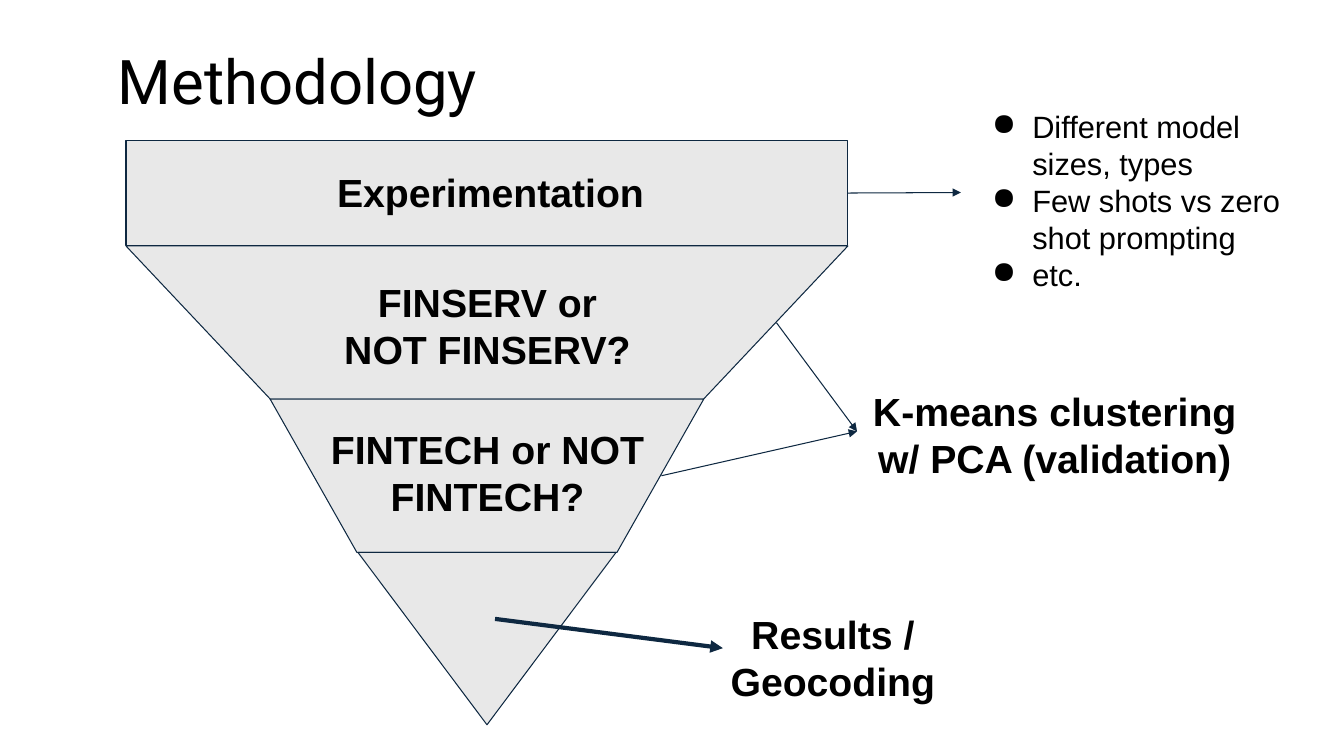
import pptx
import pptx.util
import pptx.dml.color
import pptx.enum.shapes
import pptx.enum.text
from lxml import etree
from pptx.util import Inches

COLORS = {"text": "000000", "fill": "E8E8E8", "line": "0E2841"}
SHAPES = pptx.enum.shapes.MSO_SHAPE
ALIGN = pptx.enum.text.PP_ALIGN
ANCHOR = pptx.enum.text.MSO_ANCHOR


def rgb(name):
    """Return the named palette colour."""
    return pptx.dml.color.RGBColor.from_string(COLORS[name])


def add_bullet(p):
    """Give a paragraph a hanging round bullet."""
    pPr = p._p.get_or_add_pPr()
    pPr.set("marL", str(Inches(0.5)))
    pPr.set("indent", str(Inches(-0.4)))
    color = etree.SubElement(pPr, pptx.oxml.ns.qn("a:buClr"))
    etree.SubElement(color, pptx.oxml.ns.qn("a:srgbClr"), val=COLORS["text"])
    etree.SubElement(pPr, pptx.oxml.ns.qn("a:buChar"), char="●")


def add_text(s, text, left, top, width, height, size=28, bold=True, font="Arial",
             align=ALIGN.CENTER, anchor=ANCHOR.TOP, inset=0.1, spacing=None, bullets=False):
    """Add a wrapped text box with one paragraph per line of text."""
    sp = s.shapes.add_textbox(Inches(left), Inches(top), Inches(width), Inches(height))
    tf = sp.text_frame
    tf.word_wrap = True
    tf.vertical_anchor = anchor
    tf.margin_left = Inches(inset)
    tf.margin_right = tf.margin_top = tf.margin_bottom = Inches(0.1)
    for i, line in enumerate(text.split("\n")):
        p = tf.add_paragraph() if i else tf.paragraphs[0]
        p.alignment = align
        if spacing:
            p.line_spacing = spacing
        if bullets:
            add_bullet(p)
        r = p.add_run()
        r.text = line
        r.font.name = font
        r.font.size = pptx.util.Pt(size)
        r.font.bold = bold
        r.font.color.rgb = rgb("text")
    return sp


def add_stage(s, kind, left, top, width, height, rotation=0):
    """Add one outlined stage of the funnel."""
    sp = s.shapes.add_shape(kind, Inches(left), Inches(top), Inches(width), Inches(height))
    sp.rotation = rotation
    sp.shadow.inherit = False
    sp.fill.solid()
    sp.fill.fore_color.rgb = rgb("fill")
    sp.line.color.rgb = rgb("line")
    sp.line.width = pptx.util.Pt(0.75)
    return sp


def add_arrow(s, x1, y1, x2, y2, weight=0.75, source=None, target=None):
    """Add an arrow, joined to a source's right or a target's left side."""
    cx = s.shapes.add_connector(pptx.enum.shapes.MSO_CONNECTOR.STRAIGHT,
                                Inches(x1), Inches(y1), Inches(x2), Inches(y2))
    if source is not None:
        cx.begin_connect(source, 3)
    if target is not None:
        cx.end_connect(target, 1)
    cx.line.color.rgb = rgb("line")
    cx.line.width = pptx.util.Pt(weight)
    etree.SubElement(cx.line._get_or_add_ln(), pptx.oxml.ns.qn("a:tailEnd"), type="triangle")
    etree.SubElement(cx._element.spPr, pptx.oxml.ns.qn("a:effectLst"))


def main():
    """Build the methodology funnel slide."""
    prs = pptx.Presentation()
    prs.slide_width, prs.slide_height = Inches(13.33), Inches(7.5)
    s = prs.slides.add_slide(prs.slide_layouts[6])

    add_text(s, "Methodology", 0.92, 0.4, 4.56, 0.87, size=44, bold=False, font="Roboto",
             align=ALIGN.LEFT, anchor=ANCHOR.MIDDLE, inset=0.25, spacing=0.9)

    add_stage(s, SHAPES.FLOWCHART_MANUAL_OPERATION, 1.25, 2.44, 7.16, 1.52)
    add_stage(s, SHAPES.FLOWCHART_MANUAL_OPERATION, 2.68, 3.96, 4.3, 1.52)
    add_stage(s, SHAPES.ISOSCELES_TRIANGLE, 3.55, 5.48, 2.56, 1.71, rotation=180)
    experiment = add_stage(s, SHAPES.RECTANGLE, 1.25, 1.39, 7.16, 1.05)

    add_text(s, "Experimentation", 3.05, 1.57, 3.63, 0.7)
    add_text(s, "FINSERV or NOT FINSERV?", 3.22, 2.66, 3.23, 1.08)
    add_text(s, "FINTECH or NOT FINTECH?", 3.11, 4.12, 3.45, 1.21)
    clustering = add_text(s, "K-means clustering w/ PCA (validation)", 8.5, 3.74, 3.92, 1.08)
    add_text(s, "Results / Geocoding", 6.3, 5.95, 3.92, 0.77)
    add_text(s, "Different model sizes, types\nFew shots vs zero shot prompting\netc.",
             9.64, 0.97, 3.45, 2.16, size=22, bold=False, align=ALIGN.LEFT, bullets=True)

    add_arrow(s, 8.41, 1.92, 9.53, 1.91, source=experiment)
    add_arrow(s, 7.7, 3.2, 8.5, 4.28, target=clustering)
    add_arrow(s, 6.56, 4.72, 8.5, 4.28, target=clustering)
    add_arrow(s, 4.91, 6.14, 7.17, 6.43, weight=3)
    prs.save("out.pptx")


if __name__ == "__main__":
    main()
